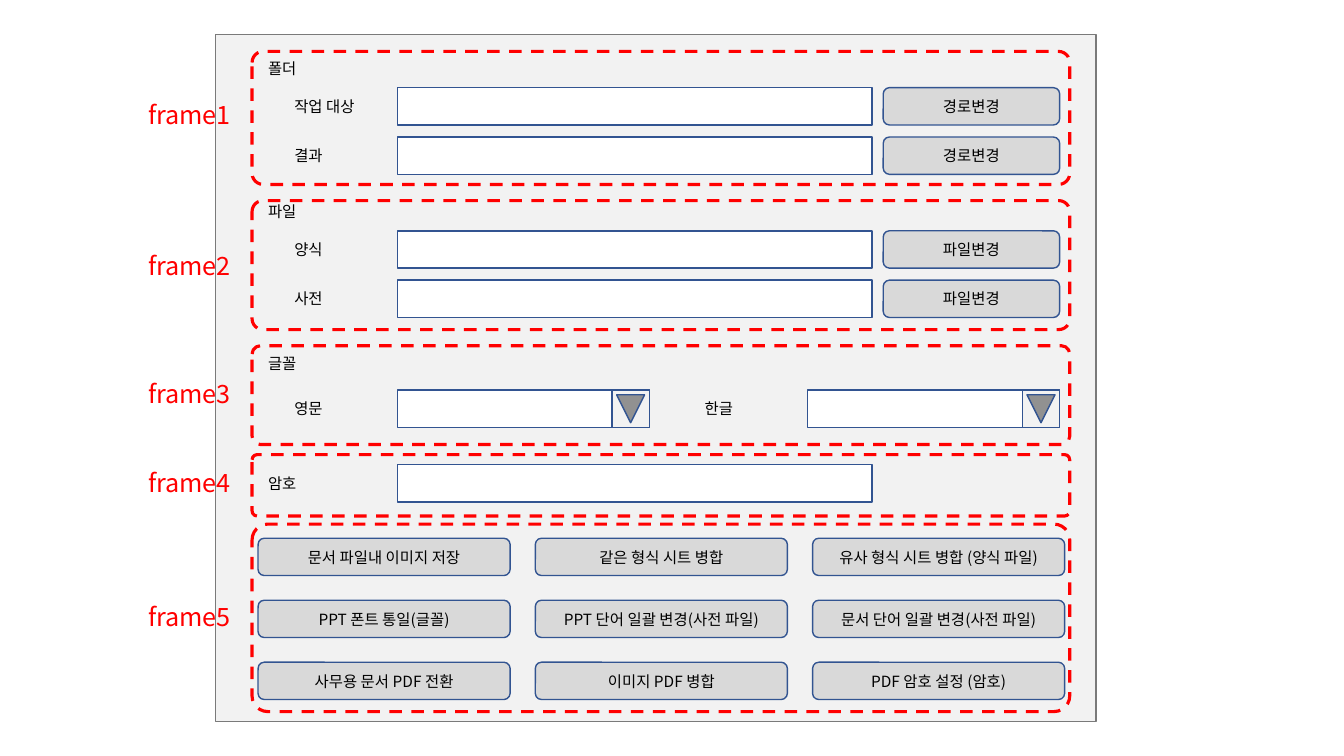
import lxml.etree
import pptx
import pptx.dml.color
import pptx.enum.dml
import pptx.enum.shapes
import pptx.enum.text
import pptx.oxml.ns
import pptx.util

RGBColor = pptx.dml.color.RGBColor
BLACK = RGBColor(0x00, 0x00, 0x00)
WHITE = RGBColor(0xFF, 0xFF, 0xFF)
RED = RGBColor(0xFF, 0x00, 0x00)
BLUE = RGBColor(0x32, 0x54, 0x91)
PANEL_GREY = RGBColor(0xF2, 0xF2, 0xF2)
BUTTON_GREY = RGBColor(0xD9, 0xD9, 0xD9)
BORDER_GREY = RGBColor(0x7A, 0x7A, 0x7A)
FONT = "Noto Sans CJK KR"

SHAPES = pptx.enum.shapes.MSO_SHAPE
RECTANGLE, ROUNDED = SHAPES.RECTANGLE, SHAPES.ROUNDED_RECTANGLE

# Grid of the form, in inches
FRAME_LEFT, FRAME_WIDTH = 2.5, 8.11
HEADING_LEFT, LABEL_LEFT, FIELD_LEFT, CHANGE_LEFT = 2.56, 2.82, 3.94, 8.76
FIELD_WIDTH, CHANGE_WIDTH, COMBO_WIDTH = 4.71, 1.75, 2.5
ROW_HEIGHT, ROW_STEP = 0.37, 0.49
LABEL_HEIGHT, LABEL_DROP = 0.29, 0.04
COMBO_STEP, COMBO_TOP = 4.07, 3.87
ACTION_STEP, ACTION_TOP, ACTION_ROW_STEP = 2.75, 5.34, 0.615

presentation = pptx.Presentation()
presentation.slide_width = pptx.util.Inches(13.33)
presentation.slide_height = pptx.util.Inches(7.5)
slide = presentation.slides.add_slide(presentation.slide_layouts[6])


def add_box(kind, left, top, width, height, fill, line=BLUE, line_width=1):
    shape = slide.shapes.add_shape(kind, *map(pptx.util.Inches, (left, top, width, height)))
    shape.shadow.inherit = False
    if fill is None:
        shape.fill.background()
    else:
        shape.fill.solid()
        shape.fill.fore_color.rgb = fill
    shape.line.color.rgb = line
    shape.line.width = pptx.util.Pt(line_width)
    return shape


def add_text(text, left, top, width, height, shape=None, size=11, color=BLACK):
    """Write into the given shape, centred, or into a new text box."""
    holder = shape or slide.shapes.add_textbox(*map(pptx.util.Inches, (left, top, width, height)))
    frame = holder.text_frame
    frame.text = text
    frame.word_wrap = True
    paragraph = frame.paragraphs[0]
    if shape:
        frame.vertical_anchor = pptx.enum.text.MSO_ANCHOR.MIDDLE
        paragraph.alignment = pptx.enum.text.PP_ALIGN.CENTER
    else:
        frame.auto_size = pptx.enum.text.MSO_AUTO_SIZE.SHAPE_TO_FIT_TEXT
    font = paragraph.runs[0].font
    font.size = pptx.util.Pt(size)
    font.color.rgb = color
    font.name = FONT
    properties = paragraph.runs[0].font._element
    east_asian = lxml.etree.SubElement(properties, pptx.oxml.ns.qn("a:ea"))
    east_asian.set("typeface", FONT)


# Window
add_box(RECTANGLE, 2.14, 0.34, 8.73, 6.82, PANEL_GREY, BORDER_GREY)

# Group headings
for heading, top in (("폴더", 0.54), ("파일", 1.96), ("글꼴", 3.46), ("암호", 4.65)):
    add_text(heading, HEADING_LEFT, top, 1.28, LABEL_HEIGHT)

# Folder and file rows: label, field, change button
for first_top, labels, button_text in (
    (0.87, ("작업 대상", "결과"), "경로변경"),
    (2.29, ("양식", "사전"), "파일변경"),
):
    for row, label in enumerate(labels):
        top = first_top + row * ROW_STEP
        add_text(label, LABEL_LEFT, top + LABEL_DROP, 1.02, LABEL_HEIGHT)
        add_box(RECTANGLE, FIELD_LEFT, top, FIELD_WIDTH, ROW_HEIGHT, WHITE)
        place = (CHANGE_LEFT, top, CHANGE_WIDTH, ROW_HEIGHT)
        add_text(button_text, *place, shape=add_box(ROUNDED, *place, BUTTON_GREY))

# Font drop-down lists
for column, label in enumerate(("영문", "한글")):
    shift = column * COMBO_STEP
    add_text(label, LABEL_LEFT + shift, COMBO_TOP + LABEL_DROP, 1.02, LABEL_HEIGHT)
    add_box(RECTANGLE, FIELD_LEFT + shift, COMBO_TOP, COMBO_WIDTH, ROW_HEIGHT, WHITE)
    arrow_left = FIELD_LEFT + shift + COMBO_WIDTH - ROW_HEIGHT
    arrow = add_box(SHAPES.ACTION_BUTTON_BACK_OR_PREVIOUS,
                    arrow_left, COMBO_TOP, ROW_HEIGHT, ROW_HEIGHT, PANEL_GREY)
    arrow.rotation = 270

# Password field
add_box(RECTANGLE, FIELD_LEFT, 4.61, FIELD_WIDTH, ROW_HEIGHT, WHITE)

# Action buttons
actions = (
    ("문서 파일내 이미지 저장", "같은 형식 시트 병합", "유사 형식 시트 병합 (양식 파일)"),
    ("PPT 폰트 통일(글꼴)", "PPT 단어 일괄 변경(사전 파일)", "문서 단어 일괄 변경(사전 파일)"),
    ("사무용 문서 PDF 전환", "이미지 PDF 병합", "PDF 암호 설정 (암호)"),
)
for row, texts in enumerate(actions):
    for column, text in enumerate(texts):
        place = (HEADING_LEFT + column * ACTION_STEP, ACTION_TOP + row * ACTION_ROW_STEP,
                 COMBO_WIDTH, ROW_HEIGHT)
        add_text(text, *place, shape=add_box(ROUNDED, *place, BUTTON_GREY))

# Dashed frames with their names
frames = ((0.51, 1.32, 0.94), (1.99, 1.28, 2.43), (3.43, 0.98, 3.7),
          (4.51, 0.61, 4.59), (5.2, 1.86, 5.92))
for number, (top, height, name_top) in enumerate(frames, start=1):
    outline = add_box(ROUNDED, FRAME_LEFT, top, FRAME_WIDTH, height, None, RED, 2.25)
    outline.adjustments[0] = 0.084
    outline.line.dash_style = pptx.enum.dml.MSO_LINE.DASH
    add_text(f"frame{number}", 1.37, name_top, 1.23, 0.4, size=18, color=RED)

presentation.save("out.pptx")
